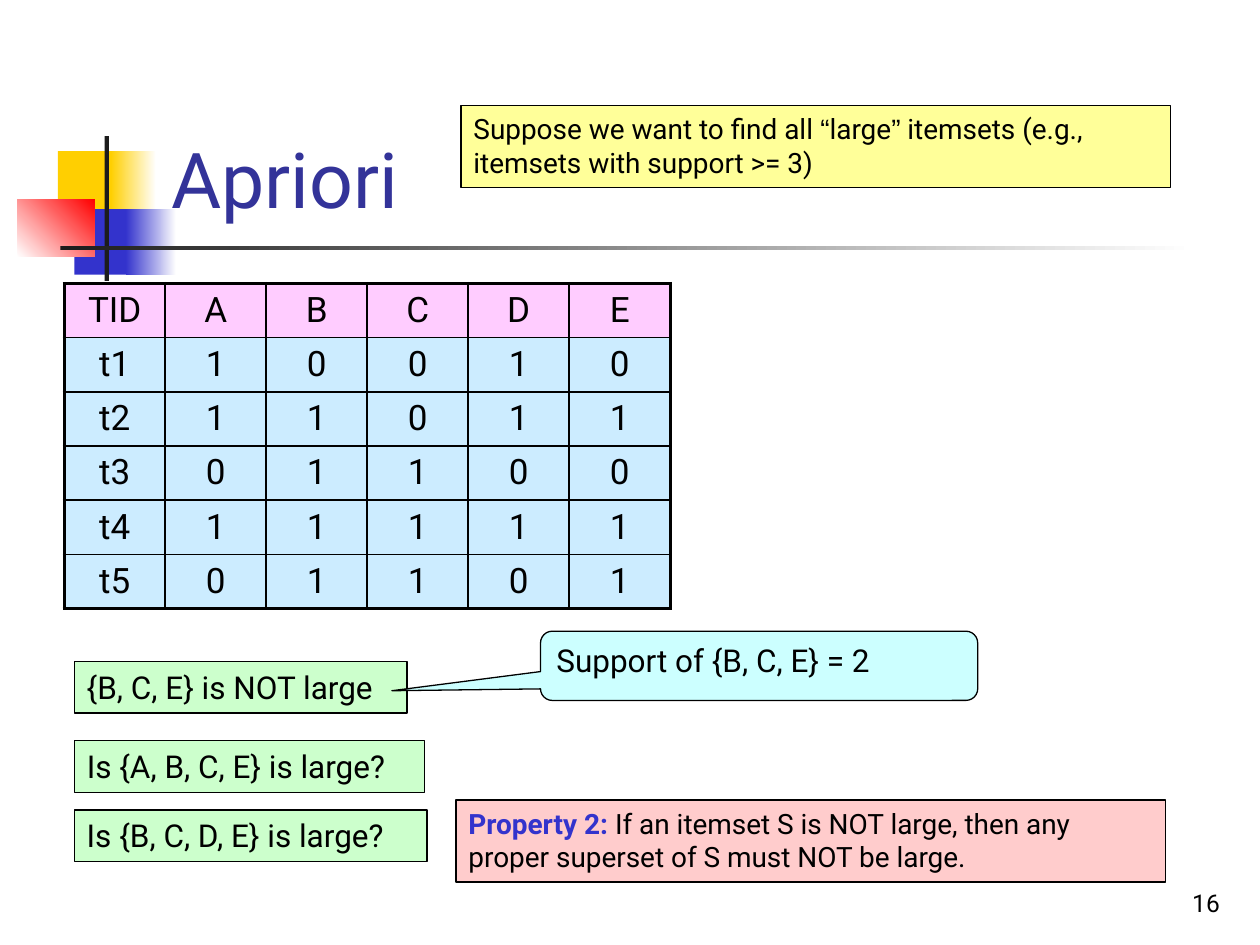
from dataclasses import dataclass

import pptx
import pptx.dml.color
import pptx.enum.dml
import pptx.enum.shapes
import pptx.enum.text
import pptx.oxml
import pptx.oxml.ns
import pptx.util

RGBColor = pptx.dml.color.RGBColor
Shape = pptx.enum.shapes.MSO_SHAPE
Anchor = pptx.enum.text.MSO_ANCHOR
Align = pptx.enum.text.PP_ALIGN
AutoSize = pptx.enum.text.MSO_AUTO_SIZE

WIDTH, HEIGHT = pptx.util.Inches(10), pptx.util.Inches(7.5)
FONT, QUOTE_FONT = "Roboto", "Arial"

BLACK = RGBColor(0x00, 0x00, 0x00)
WHITE = RGBColor(0xFF, 0xFF, 0xFF)
CHARCOAL = RGBColor(0x1C, 0x1C, 0x1C)
GOLD = RGBColor(0xFF, 0xCF, 0x01)
BLUE = RGBColor(0x33, 0x33, 0xCC)
RED = RGBColor(0xFF, 0x00, 0x00)
TITLE_BLUE = RGBColor(0x33, 0x33, 0x99)
HEADER_PINK = RGBColor(0xFF, 0xCC, 0xFF)
BODY_BLUE = RGBColor(0xCC, 0xEC, 0xFF)
YELLOW = RGBColor(0xFF, 0xFF, 0x99)
GREEN = RGBColor(0xCC, 0xFF, 0xCC)
CYAN = RGBColor(0xCC, 0xFF, 0xFF)
ROSE = RGBColor(0xFF, 0xCC, 0xCC)


@dataclass
class Box:
    """Place and size in percent of the slide's width and height."""
    left: float
    top: float
    width: float
    height: float

    def lengths(self) -> tuple[int, int, int, int]:
        return (int(WIDTH * self.left / 100), int(HEIGHT * self.top / 100),
                int(WIDTH * self.width / 100), int(HEIGHT * self.height / 100))


@dataclass
class Ornament:
    box: Box
    start: RGBColor
    end: RGBColor | None = None
    angle: int = 0


@dataclass
class Piece:
    text: str
    color: RGBColor = BLACK
    font: str = FONT
    bold: bool = False


@dataclass
class Note:
    box: Box
    fill: RGBColor
    size: int
    pieces: list[Piece]
    wrap: bool = True
    grow: bool = True
    kind: Shape = Shape.RECTANGLE
    adjustments: tuple[float, ...] = ()


ORNAMENTS = [
    Ornament(Box(4.6, 16, 4.8, 6.93), GOLD),
    Ornament(Box(8.8, 16, 3.6, 6.93), GOLD, WHITE),
    Ornament(Box(5.9, 22.13, 4.6, 6.93), BLUE),
    Ornament(Box(10, 22.13, 4, 6.93), BLUE, WHITE),
    Ornament(Box(1.4, 21.07, 6.1, 6.13), WHITE, RED, 45),
    Ornament(Box(8.3, 14.4, 0.35, 15.33), CHARCOAL),
    Ornament(Box(4.8, 26, 90, 0.45), CHARCOAL, WHITE),
]

TRANSACTIONS = [
    ("TID", "A", "B", "C", "D", "E"),
    ("t1", "1", "0", "0", "1", "0"),
    ("t2", "1", "1", "0", "1", "1"),
    ("t3", "0", "1", "1", "0", "0"),
    ("t4", "1", "1", "1", "1", "1"),
    ("t5", "0", "1", "1", "0", "1"),
]

NOTES = [
    Note(Box(36.6, 11.2, 56.3, 8.67), YELLOW, 16, [
        Piece("Suppose we want to find all "), Piece("“", font=QUOTE_FONT),
        Piece("large"), Piece("”", font=QUOTE_FONT),
        Piece(" itemsets (e.g., itemsets with support >= 3)")]),
    Note(Box(5.9, 70, 26.4, 5.47), GREEN, 18,
         [Piece("{B, C, E} is NOT large")], wrap=False),
    Note(Box(42.9, 66.8, 34.7, 7.33), CYAN, 18,
         [Piece("Support of {B, C, E} = 2")], grow=False,
         kind=Shape.ROUNDED_RECTANGULAR_CALLOUT, adjustments=(-0.84, 0.36, 0.17)),
    Note(Box(5.9, 78.4, 27.8, 5.47), GREEN, 18,
         [Piece("Is {A, B, C, E} is large?")], wrap=False),
    Note(Box(5.9, 85.73, 28, 5.47), GREEN, 18,
         [Piece("Is {B, C, D, E} is large?")], wrap=False),
    Note(Box(36.2, 84.67, 56.3, 8.67), ROSE, 16, [
        Piece("Property 2: ", BLUE, bold=True),
        Piece("If an itemset S is NOT large, then any proper superset of S "
              "must NOT be large.")]),
]


def format_run(run, size: int, color: RGBColor, font: str = FONT, bold: bool = False) -> None:
    run.font.size = pptx.util.Pt(size)
    run.font.color.rgb = color
    run.font.name = font
    run.font.bold = bold


def write_line(text_frame, text: str, size: int, color: RGBColor, align: Align) -> None:
    text_frame.text = text
    paragraph = text_frame.paragraphs[0]
    paragraph.alignment = align
    format_run(paragraph.runs[0], size, color)


def draw_ornament(slide, ornament: Ornament) -> None:
    shape = slide.shapes.add_shape(Shape.RECTANGLE, *ornament.box.lengths())
    shape.shadow.inherit = False
    shape.line.fill.background()
    if ornament.end is None:
        shape.fill.solid()
        shape.fill.fore_color.rgb = ornament.start
        return
    shape.fill.gradient()
    shape.fill.gradient_angle = ornament.angle
    for stop, color in zip(shape.fill.gradient_stops, (ornament.start, ornament.end)):
        stop.color.rgb = color


def draw_note(slide, note: Note) -> None:
    shape = slide.shapes.add_shape(note.kind, *note.box.lengths())
    for index, value in enumerate(note.adjustments):
        shape.adjustments[index] = value
    shape.shadow.inherit = False
    shape.fill.solid()
    shape.fill.fore_color.rgb = note.fill
    shape.line.color.rgb = BLACK
    shape.line.width = pptx.util.Pt(0.75)
    text_frame = shape.text_frame
    text_frame.word_wrap = note.wrap
    text_frame.auto_size = AutoSize.SHAPE_TO_FIT_TEXT if note.grow else AutoSize.NONE
    text_frame.vertical_anchor = Anchor.TOP
    paragraph = text_frame.paragraphs[0]
    paragraph.alignment = Align.LEFT
    for piece in note.pieces:
        run = paragraph.add_run()
        run.text = piece.text
        format_run(run, note.size, piece.color, piece.font, piece.bold)


def add_border(cell, side: str, points: float) -> None:
    cell._tc.get_or_add_tcPr().append(pptx.oxml.parse_xml(
        f'<a:ln{side} {pptx.oxml.ns.nsdecls("a")} w="{pptx.util.Pt(points)}">'
        f'<a:solidFill><a:srgbClr val="{BLACK}"/></a:solidFill></a:ln{side}>'))


def draw_table(slide, box: Box, rows: list[tuple[str, ...]]) -> None:
    last_row, last_column = len(rows) - 1, len(rows[0]) - 1
    table = slide.shapes.add_table(len(rows), len(rows[0]), *box.lengths()).table
    for row, values in enumerate(rows):
        for column, value in enumerate(values):
            cell = table.cell(row, column)
            # Heavy frame outside, thin rules inside; borders precede the fill
            outer = {"L": column == 0, "R": column == last_column,
                     "T": row == 0, "B": row == last_row}
            for side, is_outer in outer.items():
                add_border(cell, side, 2.25 if is_outer else 1)
            cell.fill.solid()
            cell.fill.fore_color.rgb = BODY_BLUE if row else HEADER_PINK
            write_line(cell.text_frame, value, 20, BLACK, Align.CENTER)
            properties = cell.text_frame.paragraphs[0]._p.get_or_add_pPr()
            properties.insert(0, pptx.oxml.parse_xml(
                f'<a:spcBef {pptx.oxml.ns.nsdecls("a")}><a:spcPct val="20000"/></a:spcBef>'))


def main() -> None:
    presentation = pptx.Presentation()
    presentation.slide_width, presentation.slide_height = WIDTH, HEIGHT
    slide = presentation.slides.add_slide(presentation.slide_layouts[5])

    # Corner decoration
    for ornament in ORNAMENTS:
        draw_ornament(slide, ornament)

    # Title, in front of the decoration
    title = slide.shapes.title
    slide.shapes._spTree.append(title._element)
    number = slide.shapes.add_textbox(*Box(77, 91.07, 20.8, 6.67).lengths())
    title.left, title.top, title.width, title.height = Box(12.6, 3.07, 85.2, 21.33).lengths()
    write_line(title.text_frame, "Apriori", 44, TITLE_BLUE, Align.LEFT)

    # Slide number
    write_line(number.text_frame, "16", 14, BLACK, Align.RIGHT)
    for shape in (title, number):
        shape.text_frame.word_wrap = True
        shape.text_frame.auto_size = AutoSize.NONE
        shape.text_frame.vertical_anchor = Anchor.BOTTOM

    # Transactions and notes
    draw_table(slide, Box(5.1, 30, 48.1, 34.4), TRANSACTIONS)
    for note in NOTES:
        draw_note(slide, note)

    presentation.save("out.pptx")


if __name__ == "__main__":
    main()
